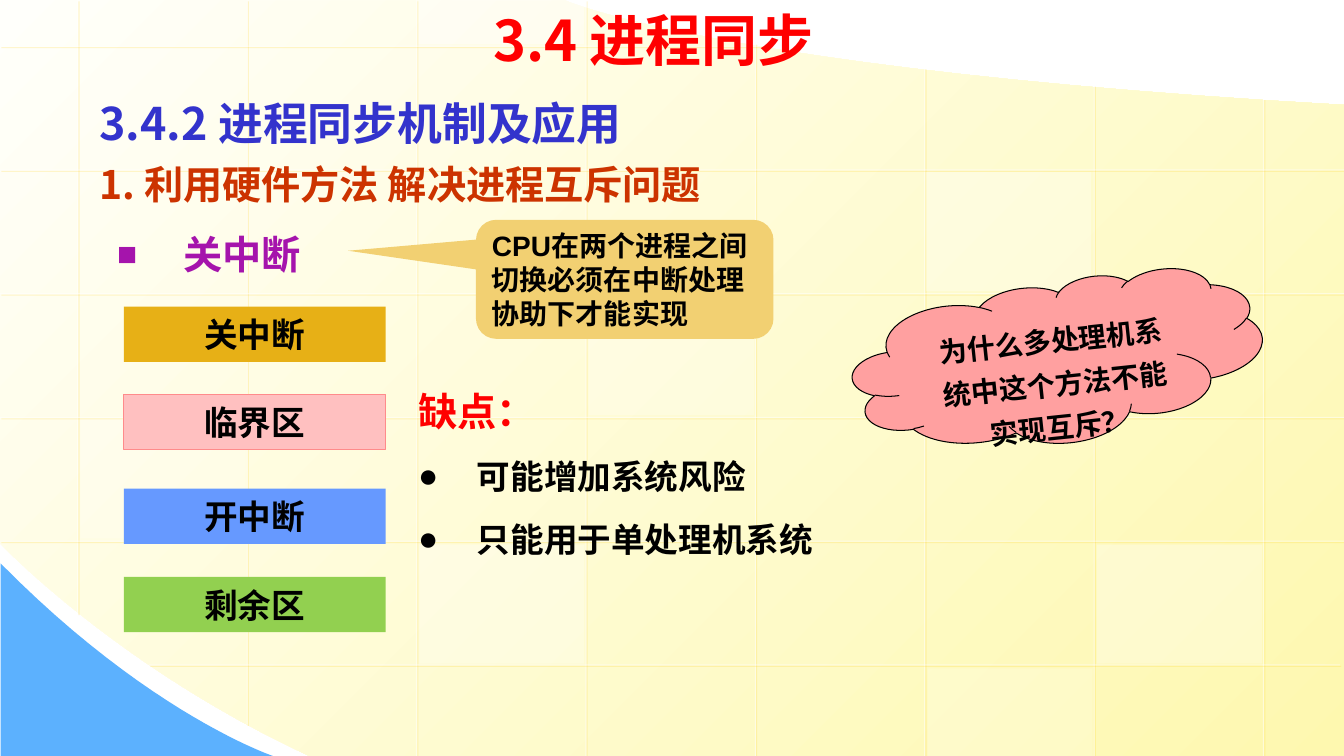
"""Build the slide on process synchronisation and hardware mutual exclusion."""
import lxml.etree
import pptx
import pptx.dml.color
import pptx.enum.dml
import pptx.enum.shapes
import pptx.enum.text
import pptx.oxml.ns
import pptx.util

Pt = pptx.util.Pt
RGB = pptx.dml.color.RGBColor
qn = pptx.oxml.ns.qn
Kind = pptx.enum.shapes.MSO_SHAPE
Anchor = pptx.enum.text.MSO_ANCHOR
Align = pptx.enum.text.PP_ALIGN

WHITE = RGB(0xFF, 0xFF, 0xFF)
BLACK = RGB(0, 0, 0)
CREAM = RGB(0xFF, 0xFF, 0xFB)
LEMON = RGB(0xFE, 0xF8, 0xAF)
GOLD = RGB(0xFF, 0xCC, 0x00)
SKY = RGB(0x5C, 0xB1, 0xFE)
RED = RGB(0xFF, 0, 0)
BLUE = RGB(0x33, 0x33, 0xCC)
RUST = RGB(0xCC, 0x33, 0x00)
PLUM = RGB(0xA5, 0x14, 0xAC)
AMBER = RGB(0xE7, 0xB0, 0x16)
PINK = RGB(0xFF, 0xC0, 0xC0)
ROSE = RGB(0xFF, 0x8B, 0x8B)
AZURE = RGB(0x66, 0x99, 0xFF)
GREEN = RGB(0x92, 0xD0, 0x50)
SAND = RGB(0xF2, 0xD0, 0x72)
CORAL = RGB(0xFF, 0xA0, 0xA0)


def node(root, tag, **attrs):
    return lxml.etree.SubElement(root, qn("a:" + tag), attrs)


def curve(start, ctrl, bend, end, steps=24):
    points = []
    for step in range(1, steps + 1):
        t = step / steps
        parts = ((1 - t) ** 3, 3 * t * (1 - t) ** 2, 3 * t * t * (1 - t), t ** 3)
        points.append(tuple(
            sum(part * spot[axis] for part, spot in zip(parts, (start, ctrl, bend, end)))
            for axis in (0, 1)))
    return points


class Page:
    CJK = "Noto Sans CJK SC"

    def __init__(self, deck):
        self.slide = deck.slides.add_slide(deck.slide_layouts[3])
        self.shapes = self.slide.shapes

    def paint(self, shape, fill, edge=None, alpha=None):
        shape.shadow.inherit = False
        shape.fill.solid()
        shape.fill.fore_color.rgb = fill
        if alpha:
            color = shape.element.spPr.find(qn("a:solidFill"))[0]
            node(color, "alpha", val=str(alpha * 1000))
        if edge is None:
            shape.line.fill.background()
        else:
            shape.line.color.rgb = edge
            shape.line.width = Pt(0.75)

    def shape(self, kind, box, fill, edge=None, alpha=None):
        shape = self.shapes.add_shape(kind, *map(Pt, box))
        self.paint(shape, fill, edge, alpha)
        return shape

    def outline(self, points, fill):
        start, *rest = [(Pt(x), Pt(y)) for x, y in points]
        form = self.shapes.build_freeform(*start, scale=1.0)
        form.add_line_segments(rest, close=True)
        shape = form.convert_to_shape()
        self.paint(shape, fill)
        return shape

    def line(self, *ends):
        line = self.shapes.add_connector(
            pptx.enum.shapes.MSO_CONNECTOR.STRAIGHT, *map(Pt, ends))
        line.line.color.rgb = WHITE
        line.line.width = Pt(0.75)
        prop = line.element.spPr
        node(next(prop.iter(qn("a:srgbClr"))), "alpha", val="50000")
        shade = node(node(prop, "effectLst"), "outerShdw", blurRad="0",
                     dist=str(Pt(1.4)), dir="2700000", algn="ctr", rotWithShape="0")
        node(node(shade, "srgbClr", val=str(GOLD)), "alpha", val="34000")

    def holder(self, index, box):
        shape = self.slide.placeholders[index]
        sides = dict(zip(("left", "top", "width", "height"), map(Pt, box)))
        for name, value in sides.items():
            setattr(shape, name, value)
        shape.element.getparent().append(shape.element)
        return shape

    def box(self, box):
        return self.shapes.add_textbox(*map(Pt, box))

    def text(self, shape, rows, anchor=Anchor.MIDDLE, align=Align.LEFT,
             face=CJK, margin=0, indent=0, **frame):
        area = shape.text_frame
        form = {"word_wrap": True, "vertical_anchor": anchor,
                "auto_size": pptx.enum.text.MSO_AUTO_SIZE.NONE, **frame}
        for name, value in form.items():
            setattr(area, name, value)
        for order, (words, size, color, pitch, mark) in enumerate(rows):
            para = area.add_paragraph() if order else area.paragraphs[0]
            prop = para._p.get_or_add_pPr()
            prop.set("marL", str(Pt(margin)))
            prop.set("indent", str(Pt(indent)))
            if mark:
                node(prop, "buSzPct", val="85000" if size > 24 else "100000")
                node(prop, "buFont", typeface="Arial")
                node(prop, "buChar", char=mark)
            else:
                node(prop, "buNone")
            spread = {"alignment": align, "line_spacing": Pt(pitch),
                      "space_before": Pt(0), "space_after": Pt(0)}
            for name, value in spread.items():
                setattr(para, name, value)
            run = para.add_run()
            run.text = words
            for name, value in {"name": face, "size": Pt(size), "bold": True}.items():
                setattr(run.font, name, value)
            run.font.color.rgb = color
            node(run._r.get_or_add_rPr(), "ea", typeface=self.CJK)

    def ground(self):
        corner, tip = (404, 0.5), (960, 75)
        sheet = self.outline(
            [corner, *curve(corner, corner, (515, 50), tip), (960, 540), (221, 540),
             *curve((221, 540), (83, 476), (0, 388), (0, 388)), (0, 0)], CREAM)
        sheet.fill.gradient()
        sheet.fill.gradient_angle = 315
        for stop, color, place in zip(sheet.fill.gradient_stops, (CREAM, LEMON), (0, 1)):
            stop.color.rgb = color
            stop.position = place
        self.outline([(0.5, 402.5), (0.5, 540), (195, 540),
                      *curve((195, 540), (195, 540), (107, 510.5), (0.5, 402.5))], SKY)
        spans = ((0, 438.5), (0, 517.5), (0, 540), (0, 541), (31, 541),
                 (49, 541), (61, 541), (70.5, 541))
        for order, (top, end) in enumerate(spans):
            x = 55.5 + 121 * order
            self.line(x, top, x, end)
        for order, (right, left) in enumerate(((545, 0), *[(961, 0)] * 4, (957, 106.5))):
            y = 33 + 88.4 * order
            self.line(right, y, left, y)
        tiles = ((420.5, 211.5, 85, 25), (783.5, 389, 85, 30), (57.5, 299.5, 85, 20),
                 (662.5, 477.5, 62.5, 20), (299, 0, 31.5, 40), (299.5, 389, 85, 30),
                 (661.5, 123, 85, 30))
        for x, y, high, alpha in tiles:
            self.shape(Kind.RECTANGLE, (x, y, 118, high), WHITE, alpha=alpha)


def main():
    deck = pptx.Presentation()
    deck.slide_width, deck.slide_height = Pt(960), Pt(540)
    page = Page(deck)
    page.ground()
    page.text(page.holder(1, (76.5, 152, 283.5, 45.5)),
              [("关中断", 28, PLUM, 47, "■")], margin=47.5, indent=-47.5)
    page.text(page.holder(0, (345, -2, 305.5, 52)), [("3.4 进程同步", 40, RED, 56, None)])
    page.text(page.box((64, 57, 538.5, 94.5)),
              [("3.4.2 进程同步机制及应用", 32, BLUE, 46, None),
               ("1. 利用硬件方法 解决进程互斥问题", 28, RUST, 41.6, None)], Anchor.TOP)
    steps = (("关中断", 219, AMBER, None), ("临界区", 281.5, PINK, ROSE),
             ("开中断", 349, AZURE, None), ("剩余区", 412, GREEN, None))
    for words, top, fill, edge in steps:
        bar = page.shape(Kind.RECTANGLE, (88.5, top, 187, 39.5), fill, edge)
        page.text(bar, [(words, 24, BLACK, 29, None)], align=Align.CENTER, face="Arial")
    page.text(page.holder(2, (291.5, 260.5, 309, 147.5)),
              [("缺点：", 28, RED, 46, None),
               ("可能增加系统风险", 24, BLACK, 44.5, "●"),
               ("只能用于单处理机系统", 24, BLACK, 44.5, "●")],
              Anchor.TOP, margin=42, indent=-42)
    note = page.shape(Kind.ROUNDED_RECTANGULAR_CALLOUT, (340, 157, 212.5, 85), SAND)
    for order, value in enumerate((-0.93, -0.24, 0.17)):
        note.adjustments[order] = value
    page.text(note, [("CPU在两个进程之间切换必须在中断处理协助下才能实现", 20, BLACK, 24, None)],
              face="Arial")
    cloud = page.shape(Kind.CLOUD, (608.5, 200, 294, 116.5), CORAL, BLACK)
    cloud.rotation = 354
    page.text(cloud, [("为什么多处理机系统中这个方法不能实现互斥？", 20, BLACK, 31, None)],
              align=Align.CENTER, face="Arial", margin=14.4,
              margin_top=Pt(30), margin_bottom=Pt(0))
    deck.save("out.pptx")


if __name__ == "__main__":
    main()
